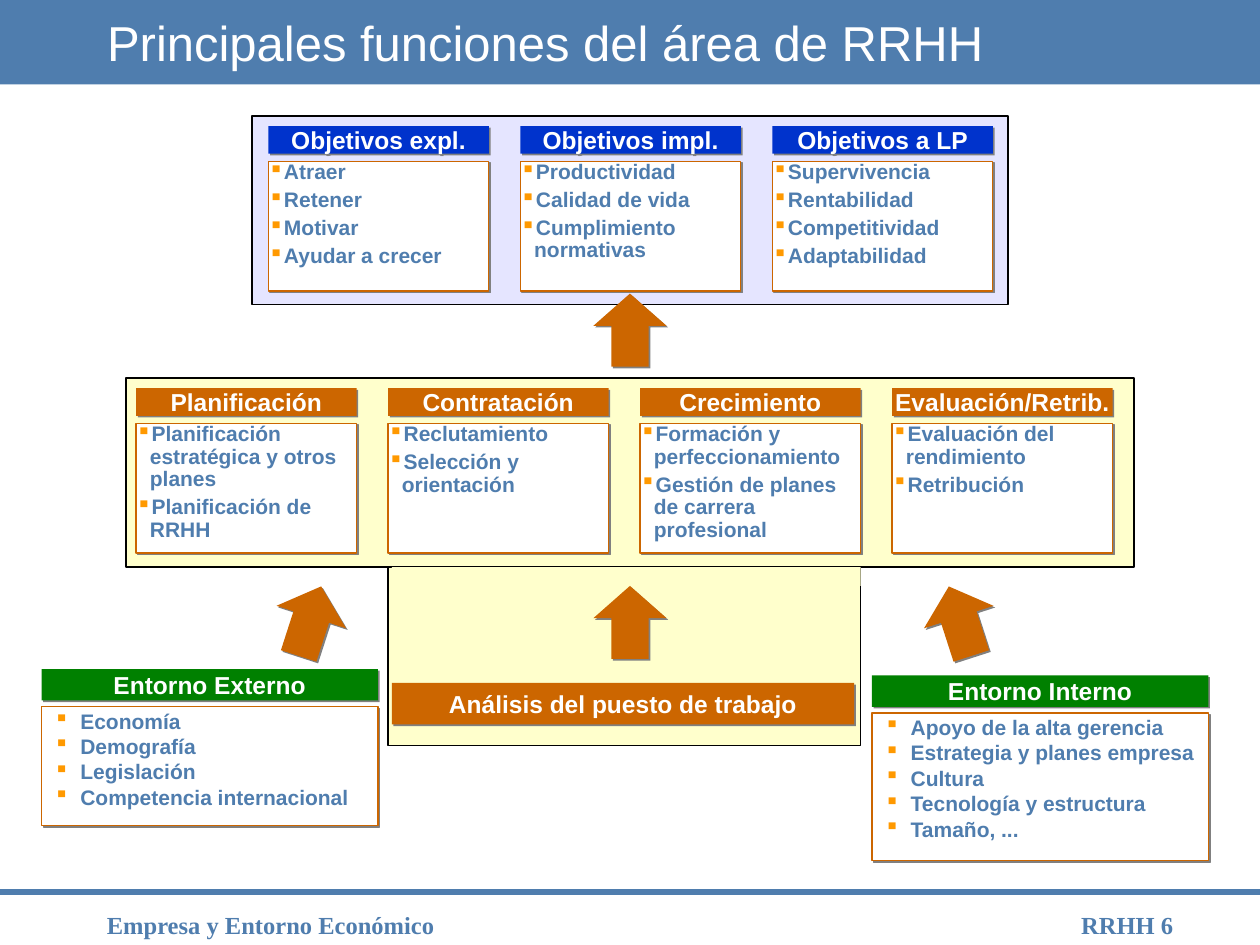
from lxml import etree
from pptx import Presentation
from pptx.dml.color import RGBColor
from pptx.enum.shapes import MSO_CONNECTOR, MSO_SHAPE
from pptx.enum.text import MSO_ANCHOR, PP_ALIGN
from pptx.oxml.ns import qn
from pptx.util import Inches, Pt

RECTANGLE, ARROW = MSO_SHAPE.RECTANGLE, MSO_SHAPE.RIGHT_ARROW
STRAIGHT = MSO_CONNECTOR.STRAIGHT
TOP, MIDDLE = MSO_ANCHOR.TOP, MSO_ANCHOR.MIDDLE
LEFT, CENTER, RIGHT = PP_ALIGN.LEFT, PP_ALIGN.CENTER, PP_ALIGN.RIGHT

COLORS = {
    "steel": "4F7DAE", "white": "FFFFFF", "black": "000000", "lilac": "E5E5FF",
    "cream": "FFFFCC", "orange": "CC6600", "blue": "0033CC", "green": "008000",
    "bullet": "FF9900", "shadow": "808080",
}
TITLE = "Principales funciones del área de RRHH"
FOOTERS = [
    ("RRHH 6", 7.99, 1.42, RIGHT),
    ("Empresa y Entorno Económico", 0.75, 4.67, LEFT),
]
PANELS = [
    ((2, 0.92, 6, 1.5), "lilac"),
    ((3.08, 4.42, 3.75, 1.5), "cream"),
    ((1, 3, 8, 1.5), "cream"),
]
ANALYSIS = "Análisis del puesto de trabajo"
ENVIRONMENTS = [
    ("Entorno Externo", 0.33, 5.31, 0.94,
     ["Economía", "Demografía", "Legislación", "Competencia internacional"]),
    ("Entorno Interno", 6.92, 5.36, 1.17,
     ["Apoyo de la alta gerencia", "Estrategia y planes empresa", "Cultura",
      "Tecnología y estructura", "Tamaño, ..."]),
]
FUNCTIONS = [
    ("Planificación", ["Planificación estratégica y otros planes", "Planificación de RRHH"]),
    ("Contratación", ["Reclutamiento", "Selección y orientación"]),
    ("Crecimiento", ["Formación y perfeccionamiento",
                     "Gestión de planes de carrera profesional"]),
    ("Evaluación/Retrib.", ["Evaluación del rendimiento", "Retribución"]),
]
OBJECTIVES = [
    ("Objetivos expl.", ["Atraer", "Retener", "Motivar", "Ayudar a crecer"]),
    ("Objetivos impl.", ["Productividad", "Calidad de vida", "Cumplimiento normativas"]),
    ("Objetivos a LP", ["Supervivencia", "Rentabilidad", "Competitividad", "Adaptabilidad"]),
]
CARD_ROWS = [(FUNCTIONS, 1.08, 3.08, "orange"), (OBJECTIVES, 2.13, 1, "blue")]
CARD_PITCH = 2
ARROWS = [(4.71, 2.33, 270), (4.71, 4.65, 270), (2.17, 4.64, 287.9), (7.33, 4.64, 252.1)]
ARROW_SIZE = 0.58


def color(name):
    return RGBColor.from_string(COLORS[name])


def add_box(slide, place, fill, line=None, shadow=False, kind=RECTANGLE):
    box = slide.shapes.add_shape(kind, *map(Inches, place))
    box.shadow.inherit = False
    box.fill.solid()
    box.fill.fore_color.rgb = color(fill)
    if line:
        box.line.color.rgb = color(line)
        box.line.width = Pt(0.75)
    else:
        box.line.fill.background()
    if shadow:
        effects = box._element.spPr.find(qn("a:effectLst"))
        outer = etree.SubElement(effects, qn("a:outerShdw"), dist=str(Pt(1.4)),
                                 dir="2700000", algn="ctr", rotWithShape="0")
        etree.SubElement(outer, qn("a:srgbClr"), val=COLORS["shadow"])
    return box


def style(para, size, tint, bold=True, align=LEFT, name="Arial"):
    para.alignment = align
    para.font.size = Pt(size)
    para.font.bold = bold
    para.font.name = name
    para.font.color.rgb = color(tint)


def add_header(slide, place, text, fill):
    frame = add_box(slide, place, fill, shadow=True).text_frame
    frame.word_wrap = False
    frame.vertical_anchor = MIDDLE
    frame.text = text
    style(frame.paragraphs[0], 14, "white", align=CENTER)


def add_list(slide, place, items, margins, indent, spacing):
    frame = add_box(slide, place, "white", "orange", True).text_frame
    frame.word_wrap = True
    frame.vertical_anchor = TOP
    frame.margin_left = frame.margin_right = Inches(margins[0])
    frame.margin_top = frame.margin_bottom = Inches(margins[1])
    frame.text = "\n".join(items)
    for para in frame.paragraphs:
        style(para, 12, "steel")
        para.line_spacing = spacing
        para.space_before = Pt(3)
        properties = para._p.get_or_add_pPr()
        properties.set("marL", str(Inches(indent)))
        properties.set("indent", str(-Inches(indent)))
        bullet = etree.Element(qn("a:buClr"))
        etree.SubElement(bullet, qn("a:srgbClr"), val=COLORS["bullet"])
        mark = etree.Element(qn("a:buChar"), char="▪")
        defaults = properties.find(qn("a:defRPr"))
        defaults.addprevious(bullet)
        defaults.addprevious(mark)


def add_frame(slide):
    add_box(slide, (0, 0, 10, 0.67), "steel")
    rule = slide.shapes.add_connector(STRAIGHT, 0, Inches(7.08), Inches(10), Inches(7.08))
    rule.line.color.rgb = color("steel")
    rule.line.width = Pt(3)
    etree.SubElement(rule._element.spPr, qn("a:effectLst"))
    for text, left, width, align in FOOTERS:
        box = slide.shapes.add_textbox(Inches(left), Inches(7.17), Inches(width), Inches(0.25))
        box.text_frame.word_wrap = True
        box.text_frame.text = text
        style(box.text_frame.paragraphs[0], 14, "steel", align=align, name="Times New Roman")


def add_title(slide):
    title = slide.shapes.title
    title.left, title.top, title.width, title.height = map(Inches, (0.75, 0, 8.5, 0.67))
    title.text_frame.text = TITLE
    title.text_frame.vertical_anchor = MIDDLE
    style(title.text_frame.paragraphs[0], 28, "white", bold=False)
    slide.shapes._spTree.append(title._element)


def main():
    """Build the slide on the main functions of the HR area."""
    deck = Presentation()
    deck.slide_width, deck.slide_height = Inches(10), Inches(7.5)
    slide = deck.slides.add_slide(deck.slide_layouts[5])
    add_frame(slide)
    for place, fill in PANELS:
        add_box(slide, place, fill, "black")
    add_header(slide, (3.11, 5.42, 3.67, 0.33), ANALYSIS, "orange")
    add_title(slide)
    for heading, left, top, height, items in ENVIRONMENTS:
        add_list(slide, (left, top + 0.3, 2.67, height), items, (0.1, 0.05), 0.21, 0.8)
        add_header(slide, (left, top, 2.67, 0.25), heading, "green")
    for cards, start, top, fill in CARD_ROWS:
        for index, (heading, items) in enumerate(cards):
            left = start + index * CARD_PITCH
            add_list(slide, (left, top + 0.28, 1.75, 1.03), items, (0, 0), 0.11, 0.9)
            add_header(slide, (left, top, 1.75, 0.22), heading, fill)
    add_box(slide, (3.11, 4.5, 3.72, 0.15), "cream")
    for left, top, rotation in ARROWS:
        arrow = add_box(slide, (left, top, ARROW_SIZE, ARROW_SIZE), "orange",
                        shadow=True, kind=ARROW)
        arrow.adjustments[0], arrow.adjustments[1] = 0.51, 0.44
        arrow.rotation = rotation
    deck.save("out.pptx")


if __name__ == "__main__":
    main()
